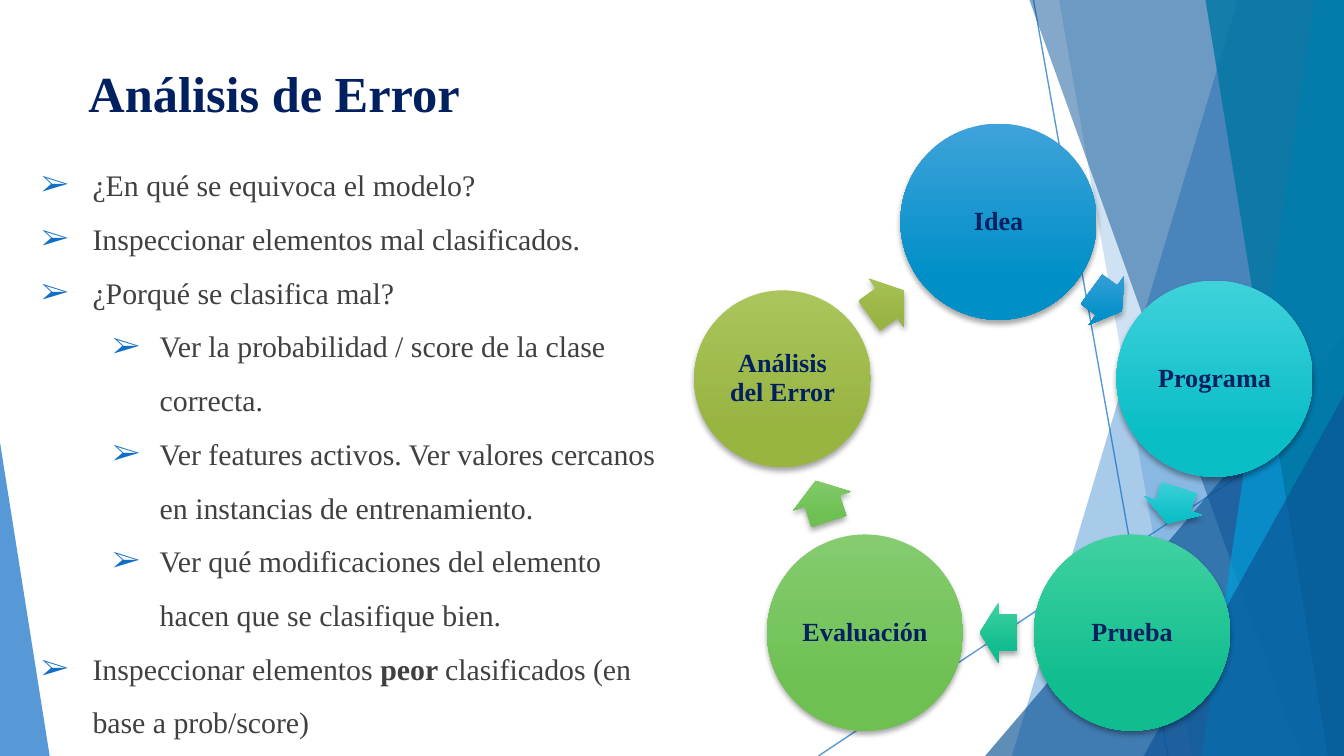
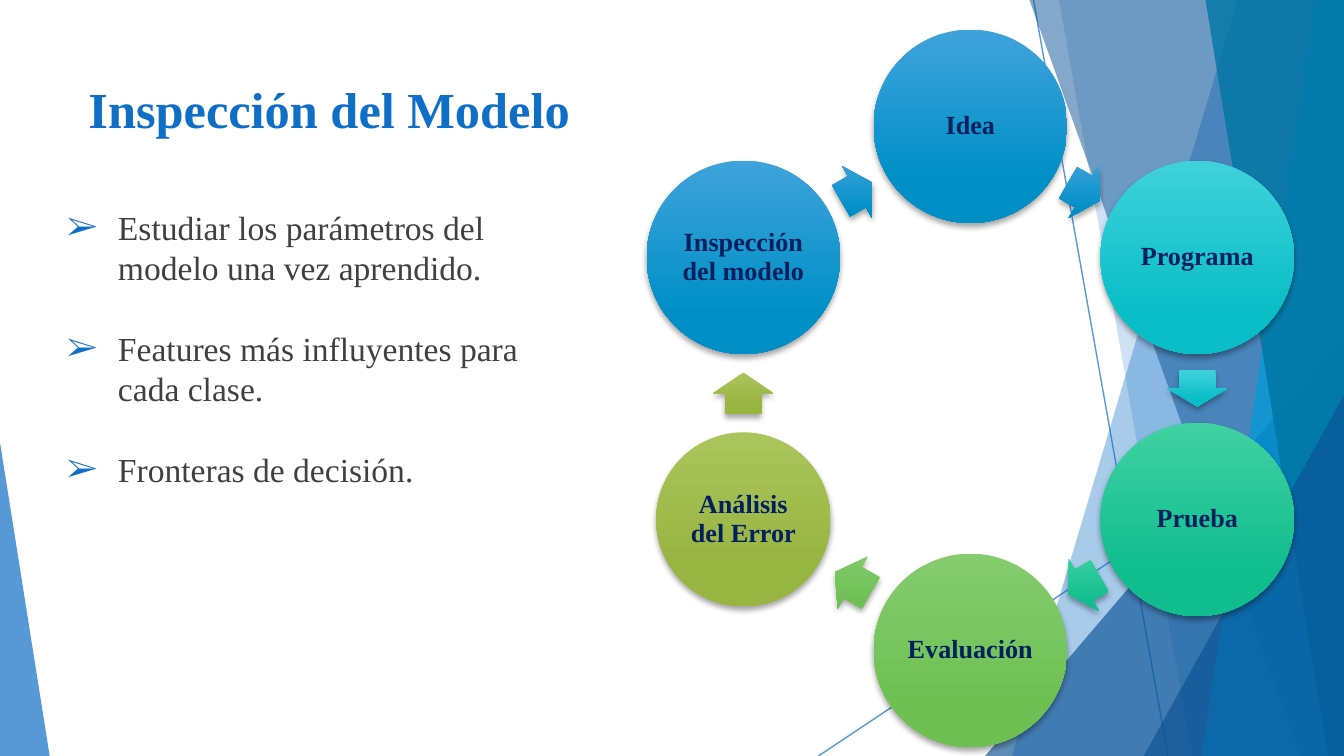
from dataclasses import dataclass
from math import cos, hypot, pi, sin

from lxml import etree
from pptx import Presentation
from pptx.dml.color import RGBColor
from pptx.enum.shapes import MSO_CONNECTOR, MSO_SHAPE
from pptx.enum.text import MSO_ANCHOR, PP_ALIGN
from pptx.oxml.ns import qn
from pptx.util import Inches, Pt

STRAIGHT = MSO_CONNECTOR.STRAIGHT
TRIANGLE, OVAL, ARROW = MSO_SHAPE.ISOSCELES_TRIANGLE, MSO_SHAPE.OVAL, MSO_SHAPE.RIGHT_ARROW
TOP, MIDDLE, BOTTOM = MSO_ANCHOR.TOP, MSO_ANCHOR.MIDDLE, MSO_ANCHOR.BOTTOM
CENTER = PP_ALIGN.CENTER

WIDTH = 10
HEIGHT = WIDTH * 9 / 16


@dataclass(frozen=True)
class Theme:
    font: str = "Times New Roman"
    title_size: int = 27
    label_size: int = 14
    navy: str = "002060"
    blue: str = "0F6FC6"
    deep: str = "0B5394"
    cyan: str = "009DD9"
    teal: str = "0076A3"
    text: str = "404040"
    # Gradients of the cycle: top colour, bottom colour
    sky: tuple = ("3FA2DB", "0090C7")
    turquoise: tuple = ("3FD2DB", "0ABEC7")
    emerald: tuple = ("40D1A1", "0FBD8E")
    green: tuple = ("85CC6F", "6EC053")
    olive: tuple = ("AAC55B", "98B441")


THEME = Theme()


@dataclass(frozen=True)
class Step:
    label: str
    colours: tuple
    scale: float = 1


IDEA = Step("Idea", THEME.sky)
PROGRAM = Step("Programa", THEME.turquoise)
TEST = Step("Prueba", THEME.emerald)
EVALUATION = Step("Evaluación", THEME.green)
ERROR_ANALYSIS = Step("Análisis del Error", THEME.olive, 0.9)
INSPECTION = Step("Inspección del modelo", THEME.sky)


def set_alpha(element, percent):
    colour = next(element.iter(qn("a:srgbClr")))
    etree.SubElement(colour, qn("a:alpha"), val=str(percent * 1000))


class Deck:
    def __init__(self, theme):
        self.theme = theme
        self.prs = Presentation()
        self.prs.slide_width, self.prs.slide_height = Inches(WIDTH), Inches(HEIGHT)
        self.slide = None

    def new_slide(self):
        self.slide = self.prs.slides.add_slide(self.prs.slide_layouts[6])
        self.backdrop()

    def backdrop(self):
        t = self.theme
        self.line(7.69, 0, 8.69, HEIGHT)
        self.line(WIDTH, 3.02, 6.09, HEIGHT)
        self.band(9.21, 7.53, t.blue, 36)
        self.band(7.88, 8.87, t.blue, 20)
        self.corner(7.33, 2.5, 2.67, 1, t.deep, 66)
        self.band(7.66, 9.68, t.deep, 50)
        self.band(9.78, 8.94, t.cyan, 70)
        self.band(8.97, 9.88, t.teal, 80)
        self.corner(8.51, 2.94, 1.49, 1, t.deep, 66)
        self.corner(0, 3.29, 0.37, 0, t.blue, 70)

    def line(self, x1, y1, x2, y2):
        line = self.slide.shapes.add_connector(
            STRAIGHT, Inches(x1), Inches(y1), Inches(x2), Inches(y2))
        line.line.color.rgb = RGBColor.from_string(self.theme.blue)
        line.line.width = Pt(0.75)
        properties = line.element.spPr
        set_alpha(properties, 70)
        etree.SubElement(properties, qn("a:effectLst"))

    def flat(self, shape, colour, opacity):
        shape.shadow.inherit = False
        shape.line.fill.background()
        shape.fill.solid()
        shape.fill.fore_color.rgb = RGBColor.from_string(colour)
        set_alpha(shape.element.spPr, opacity)

    def band(self, top_x, bottom_x, colour, opacity):
        """Full-height band from a slanted left edge to the right slide edge."""
        outline = self.slide.shapes.build_freeform(Inches(top_x), 0)
        outline.add_line_segments([
            (Inches(x), Inches(y))
            for x, y in ((WIDTH, 0), (WIDTH, HEIGHT), (bottom_x, HEIGHT))])
        self.flat(outline.convert_to_shape(), colour, opacity)

    def corner(self, left, top, width, apex, colour, opacity):
        """Triangle standing on the bottom edge; apex runs from 0 (left) to 1 (right)."""
        triangle = self.slide.shapes.add_shape(
            TRIANGLE, Inches(left), Inches(top), Inches(width), Inches(HEIGHT - top))
        triangle.adjustments[0] = apex
        self.flat(triangle, colour, opacity)

    def text_box(self, left, top, width, height, anchor=TOP, inset=0.1):
        frame = self.slide.shapes.add_textbox(
            Inches(left), Inches(top), Inches(width), Inches(height)).text_frame
        frame.word_wrap = True
        frame.vertical_anchor = anchor
        frame.margin_left = frame.margin_right = Inches(inset)
        frame.margin_top = frame.margin_bottom = Inches(inset)
        return frame

    def run(self, paragraph, text, size, colour, bold=False):
        run = paragraph.add_run()
        run.text = text
        run.font.name = self.theme.font
        run.font.size = Pt(size)
        run.font.bold = bold
        run.font.color.rgb = RGBColor.from_string(colour)

    def title(self, text, height, colour):
        frame = self.text_box(0.56, 0.5, 7.05, height, BOTTOM)
        self.run(frame.paragraphs[0], text, self.theme.title_size, colour, True)

    def bullet(self, paragraph, level):
        paragraph.level = level
        properties = paragraph._p.get_or_add_pPr()
        properties.set("marL", str(Inches(0.5 + 0.5 * level)))
        properties.set("indent", str(Inches((-0.38, -0.35)[level])))
        colour = etree.SubElement(properties, qn("a:buClr"))
        etree.SubElement(colour, qn("a:srgbClr"), val=self.theme.blue)
        etree.SubElement(properties, qn("a:buFont"), typeface=self.theme.font)
        etree.SubElement(properties, qn("a:buChar"), char="➢")

    def bullets(self, box, items, size, line_spacing=1.0, gap=0):
        """Items are (level, runs); every second run is bold."""
        frame = self.text_box(*box)
        for i, (level, runs) in enumerate(items):
            paragraph = frame.add_paragraph() if i else frame.paragraphs[0]
            paragraph.line_spacing = line_spacing
            paragraph.space_before = Pt(0)
            paragraph.space_after = Pt(gap)
            self.bullet(paragraph, level)
            for j, text in enumerate(runs):
                self.run(paragraph, text, size, self.theme.text, j % 2 == 1)

    def glossy(self, kind, x, y, width, height, colours):
        """Shape centred on (x, y) with a vertical gradient and a soft shadow."""
        shape = self.slide.shapes.add_shape(
            kind, Inches(x - width / 2), Inches(y - height / 2),
            Inches(width), Inches(height))
        shape.line.fill.background()
        shape.fill.gradient()
        shape.fill.gradient_angle = 270
        for stop, position, colour in zip(shape.fill.gradient_stops, (0, 0.78), colours):
            stop.position = position
            stop.color.rgb = RGBColor.from_string(colour)
        properties = shape.element.spPr
        properties.find(qn("a:gradFill")).set("rotWithShape", "0")
        shape.shadow.inherit = False
        shadow = etree.SubElement(
            properties.find(qn("a:effectLst")), qn("a:outerShdw"),
            blurRad=str(Pt(3)), dist=str(Pt(2)), dir="5400000", rotWithShape="0")
        etree.SubElement(shadow, qn("a:srgbClr"), val="000000")
        set_alpha(shadow, 35)
        return shape

    def step(self, x, y, diameter, step):
        self.glossy(OVAL, x, y, diameter, diameter, step.colours)
        side = 0.71 * diameter
        label = self.text_box(x - side / 2, y - side / 2, side, side, MIDDLE, 0.02)
        paragraph = label.paragraphs[0]
        paragraph.alignment = CENTER
        paragraph.line_spacing = 0.9
        self.run(paragraph, step.label, self.theme.label_size, self.theme.navy, True)

    def cycle(self, x, y, radius, diameter, steps):
        """Circles clockwise from the top, with an arrow in each gap."""
        count = len(steps)
        turn = 2 * pi / count
        centres = [(x + radius * sin(i * turn), y - radius * cos(i * turn))
                   for i in range(count)]
        for i, step in enumerate(steps):
            following = (i + 1) % count
            (x1, y1), (x2, y2) = centres[i], centres[following]
            size, next_size = diameter * step.scale, diameter * steps[following].scale
            self.step(x1, y1, size, step)

            chord = hypot(x2 - x1, y2 - y1)
            middle = 0.5 + (size - next_size) / 4 / chord
            length = 0.53 * (chord - (size + next_size) / 2)
            arrow = self.glossy(
                ARROW, x1 + (x2 - x1) * middle, y1 + (y2 - y1) * middle,
                length, 0.31 * diameter, step.colours)
            arrow.adjustments[0], arrow.adjustments[1] = 0.6, 0.5
            arrow.rotation = (i + 0.5) * 360 / count


def error_analysis(deck):
    deck.new_slide()
    deck.title("Análisis de Error", 0.51, deck.theme.navy)
    deck.bullets((0.09, 1.01, 4.91, 4.44), [
        (0, ["¿En qué se equivoca el modelo?"]),
        (0, ["Inspeccionar elementos mal clasificados."]),
        (0, ["¿Porqué se clasifica mal?"]),
        (1, ["Ver la probabilidad / score de la clase correcta."]),
        (1, ["Ver features activos. Ver valores cercanos en instancias de entrenamiento."]),
        (1, ["Ver qué modificaciones del elemento hacen que se clasifique bien."]),
        (0, ["Inspeccionar elementos ", "peor ", "clasificados (en base a prob/score)"]),
    ], size=16, line_spacing=1.5)
    deck.cycle(7.43, 3.34, 1.69, 1.46,
               [IDEA, PROGRAM, TEST, EVALUATION, ERROR_ANALYSIS])


def model_inspection(deck):
    deck.new_slide()
    deck.title("Inspección del Modelo", 0.63, deck.theme.blue)
    deck.bullets((0.28, 1.44, 4.07, 3.69), [
        (0, ["Estudiar los parámetros del modelo una vez aprendido."]),
        (0, ["Features más influyentes para cada clase."]),
        (0, ["Fronteras de decisión."]),
    ], size=18, gap=21.6)
    deck.cycle(7.22, 2.89, 1.95, 1.44,
               [IDEA, PROGRAM, TEST, EVALUATION, ERROR_ANALYSIS, INSPECTION])


def main():
    deck = Deck(THEME)
    error_analysis(deck)
    model_inspection(deck)
    deck.prs.save("out.pptx")


if __name__ == "__main__":
    main()
